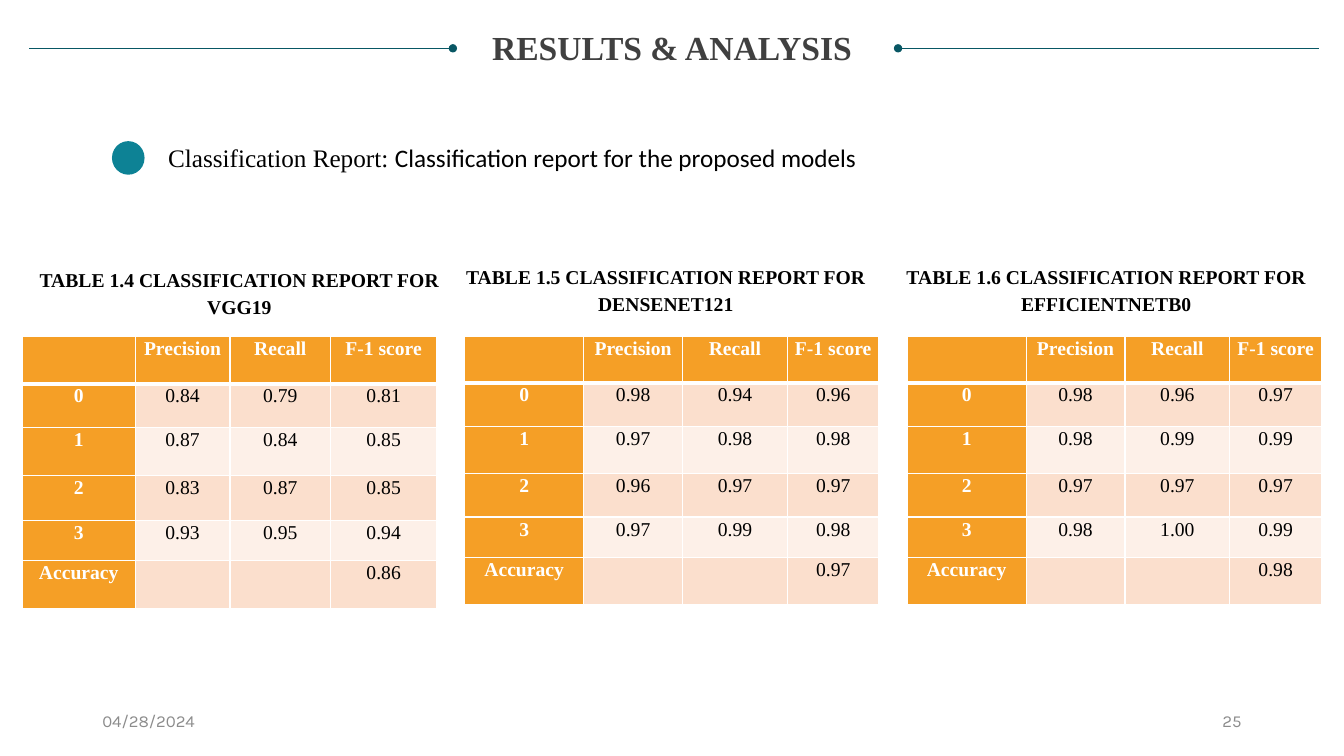
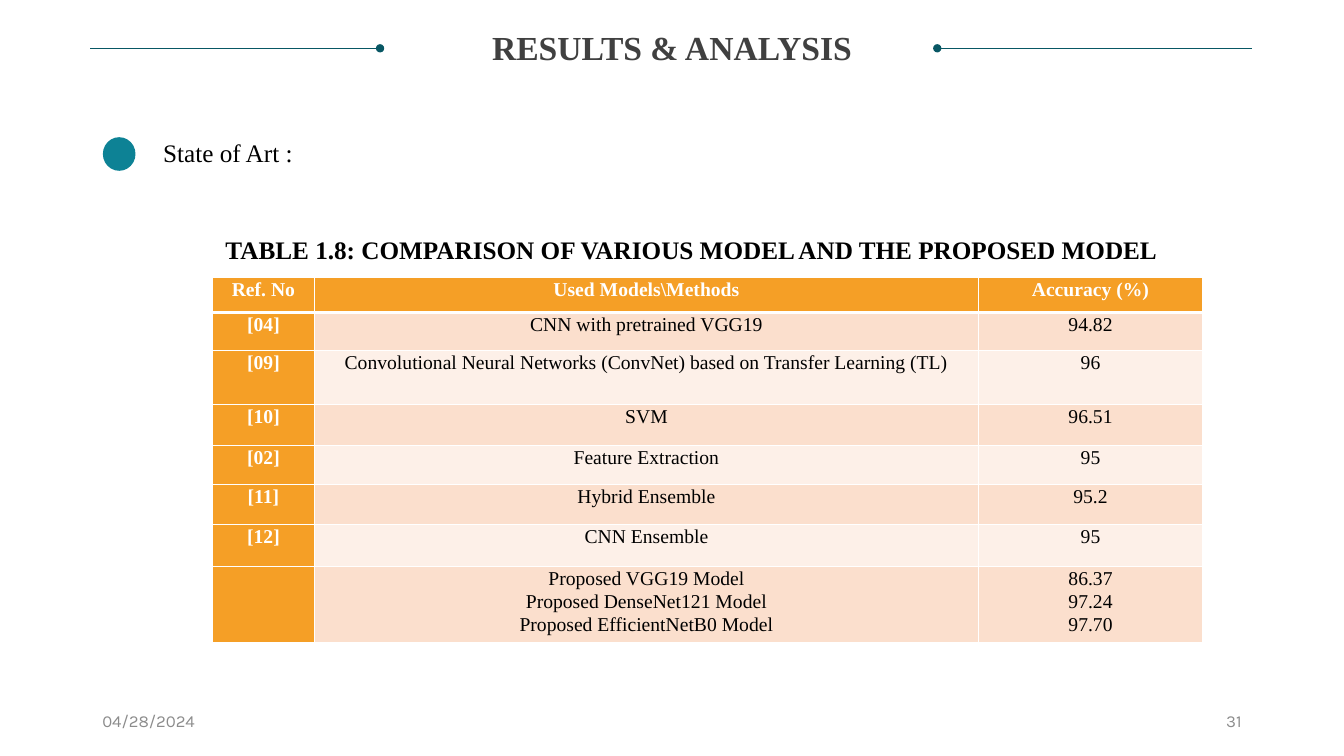
"""Builds two results slides with classification reports and a model comparison."""
from lxml.etree import SubElement
from pptx import Presentation
from pptx.dml.color import RGBColor
from pptx.enum.shapes import MSO_CONNECTOR, MSO_SHAPE
from pptx.enum.text import MSO_ANCHOR, PP_ALIGN
from pptx.oxml import parse_xml
from pptx.oxml.ns import nsdecls, qn
from pptx.util import Pt

COLORS = {
    "title": "404040", "rule": "085764", "dot": "0D8295", "footer": "8C8C8C",
    "ink": "000000", "white": "FFFFFF", "head": "F59F26",
    "odd_row": "FBDFCD", "even_row": "FDF0E8",
}
SERIF = "Times New Roman"


def write(frame, text, size=14, font=SERIF, color="ink", bold=False,
          align=PP_ALIGN.LEFT, spacing=1.0, anchor=MSO_ANCHOR.TOP, inset=(7.2, 3.6)):
    frame.word_wrap = True
    frame.vertical_anchor = anchor
    frame.margin_left = frame.margin_right = Pt(inset[0])
    frame.margin_top = frame.margin_bottom = Pt(inset[1])
    for number, line in enumerate(text.split("\n")):
        paragraph = frame.add_paragraph() if number else frame.paragraphs[-1]
        paragraph.alignment = align
        paragraph.line_spacing = spacing
        run = paragraph.add_run()
        run.text = line
        run.font.size = Pt(size)
        run.font.name = font
        run.font.bold = bold
        run.font.color.rgb = RGBColor.from_string(COLORS[color])


def add_report(slide, left, top, widths, heights, rows):
    table = slide.shapes.add_table(len(rows), len(widths), Pt(left), Pt(top),
                                   Pt(sum(widths)), Pt(sum(heights))).table
    table.horz_banding = False
    for column, width in zip(table.columns, widths):
        column.width = Pt(width)
    for r, (height, values) in enumerate(zip(heights, rows)):
        table.rows[r].height = Pt(height)
        for c, value in enumerate(values):
            cell = table.cell(r, c)
            heading = r == 0 or c == 0
            fill = "head" if heading else "odd_row" if r % 2 else "even_row"
            cell.fill.solid()
            cell.fill.fore_color.rgb = RGBColor.from_string(COLORS[fill])
            cell.margin_left = cell.margin_right = Pt(5)
            cell.margin_top = cell.margin_bottom = 0
            write(cell.text_frame, value, color="white" if heading else "ink",
                  bold=heading, align=PP_ALIGN.CENTER, spacing=1.07, inset=(5, 0))
            borders = {"lnL": 1, "lnR": 1, "lnT": 3 if r == 1 else 1, "lnB": 1 if r else 3}
            for position, (side, weight) in enumerate(borders.items()):
                cell._tc.get_or_add_tcPr().insert(position, parse_xml(
                    f'<a:{side} {nsdecls("a")} w="{Pt(weight)}"><a:solidFill>'
                    f'<a:srgbClr val="{COLORS["white"]}"/></a:solidFill></a:{side}>'))


deck = Presentation()
deck.slide_width, deck.slide_height = Pt(960), Pt(540)

pages = [
    {"number": "25", "rules": [(21, 323.5, "tailEnd"), (641.5, 942, "headEnd")],
     "dot": (80, 100.8), "topic": (113, 98),
     "runs": [("Classification Report: ", SERIF),
              ("Classification report for the proposed models", "Calibri")]},
    {"number": "31", "rules": [(64.5, 271.5, "tailEnd"), (669.5, 894.5, "headEnd")],
     "dot": (73.5, 98), "topic": (109.5, 94.5), "runs": [("State of Art :", SERIF)]},
]
slides = []
for page in pages:
    slide = deck.slides.add_slide(deck.slide_layouts[6])
    slides.append(slide)
    for left, text, align in [(66, "04/28/2024", PP_ALIGN.LEFT),
                              (678, page["number"], PP_ALIGN.RIGHT)]:
        footer = slide.shapes.add_textbox(Pt(left), Pt(500.4), Pt(216), Pt(28.8))
        write(footer.text_frame, text, size=12, font="Karla", color="footer",
              align=align, anchor=MSO_ANCHOR.MIDDLE)
    title = slide.shapes.add_textbox(Pt(18), Pt(22.3), Pt(924), Pt(57))
    write(title.text_frame, "RESULTS & ANALYSIS", size=24, color="title", bold=True,
          align=PP_ALIGN.CENTER, spacing=0.9, inset=(0, 0))
    for start, end, dotted_end in page["rules"]:
        rule = slide.shapes.add_connector(MSO_CONNECTOR.STRAIGHT,
                                          Pt(start), Pt(34.5), Pt(end), Pt(34.5))
        rule.line.color.rgb = RGBColor.from_string(COLORS["rule"])
        rule.line.width = Pt(0.5)
        SubElement(rule.line._get_or_add_ln(), qn(f"a:{dotted_end}"), type="oval")
        SubElement(rule._element.spPr, qn("a:effectLst"))
    dot = slide.shapes.add_shape(MSO_SHAPE.OVAL, *map(Pt, page["dot"]), Pt(23.3), Pt(24))
    dot.shadow.inherit = False
    dot.fill.solid()
    dot.fill.fore_color.rgb = RGBColor.from_string(COLORS["dot"])
    dot.line.fill.background()
    topic = slide.shapes.add_textbox(*map(Pt, page["topic"]), Pt(780), Pt(29))
    for text, font in page["runs"]:
        write(topic.text_frame, text, size=18, font=font)

report_slide, comparison_slide = slides

wide_label = [85, 70.6, 74.9, 65.5]
low_rows = [33.1, 31, 33.8, 31, 28.8, 33.8]
reports = [
    ("TABLE 1.4 CLASSIFICATION REPORT FOR VGG19", 18.7, 185, 16,
     [80.6, 67.7, 72, 75.6], [33.8, 31, 34.6, 31.7, 28.8, 34.6],
     ["0.84 0.79 0.81", "0.87 0.84 0.85", "0.83 0.87 0.85", "0.93 0.95 0.94"], "0.86"),
    ("TABLE 1.5 CLASSIFICATION REPORT FOR DENSENET121", 323.3, 183, 332,
     wide_label, low_rows,
     ["0.98 0.94 0.96", "0.97 0.98 0.98", "0.96 0.97 0.97", "0.97 0.99 0.98"], "0.97"),
    ("TABLE 1.6 CLASSIFICATION REPORT FOR EFFICIENTNETB0", 637.9, 183, 648,
     wide_label, low_rows,
     ["0.98 0.96 0.97", "0.98 0.99 0.99", "0.97 0.97 0.97", "0.98 1.00 0.99"], "0.98"),
]
for heading, caption_left, caption_top, left, widths, heights, scores, accuracy in reports:
    rows = [["", "Precision", "Recall", "F-1 score"]]
    rows += [[str(label), *line.split()] for label, line in enumerate(scores)]
    rows.append(["Accuracy", "", "", accuracy])
    add_report(report_slide, left, 240.5, widths, heights, rows)
    caption = report_slide.shapes.add_textbox(Pt(caption_left), Pt(caption_top),
                                              Pt(304.6), Pt(44.6))
    write(caption.text_frame, heading, bold=True, align=PP_ALIGN.CENTER, spacing=1.15)

add_report(
    comparison_slide, 151.5, 198, [73.4, 473.8, 160.6],
    [25.2, 27.4, 38.2, 29.5, 28.1, 28.1, 30.2, 54.7],
    [["Ref. No", "Used Models\\Methods", "Accuracy (%)"],
     ["[04]", "CNN with pretrained VGG19", "94.82"],
     ["[09]", "Convolutional Neural Networks (ConvNet) based on Transfer Learning (TL)", "96"],
     ["[10]", "SVM", "96.51"],
     ["[02]", "Feature Extraction", "95"],
     ["[11]", "Hybrid Ensemble", "95.2"],
     ["[12]", "CNN Ensemble", "95"],
     ["", "Proposed VGG19 Model\nProposed DenseNet121 Model\nProposed EfficientNetB0 Model",
      "86.37\n97.24\n97.70"]])
caption = comparison_slide.shapes.add_textbox(Pt(154), Pt(164), Pt(698), Pt(29))
write(caption.text_frame, "TABLE 1.8: COMPARISON OF VARIOUS MODEL AND THE PROPOSED MODEL",
      size=18, bold=True)

deck.save("out.pptx")
